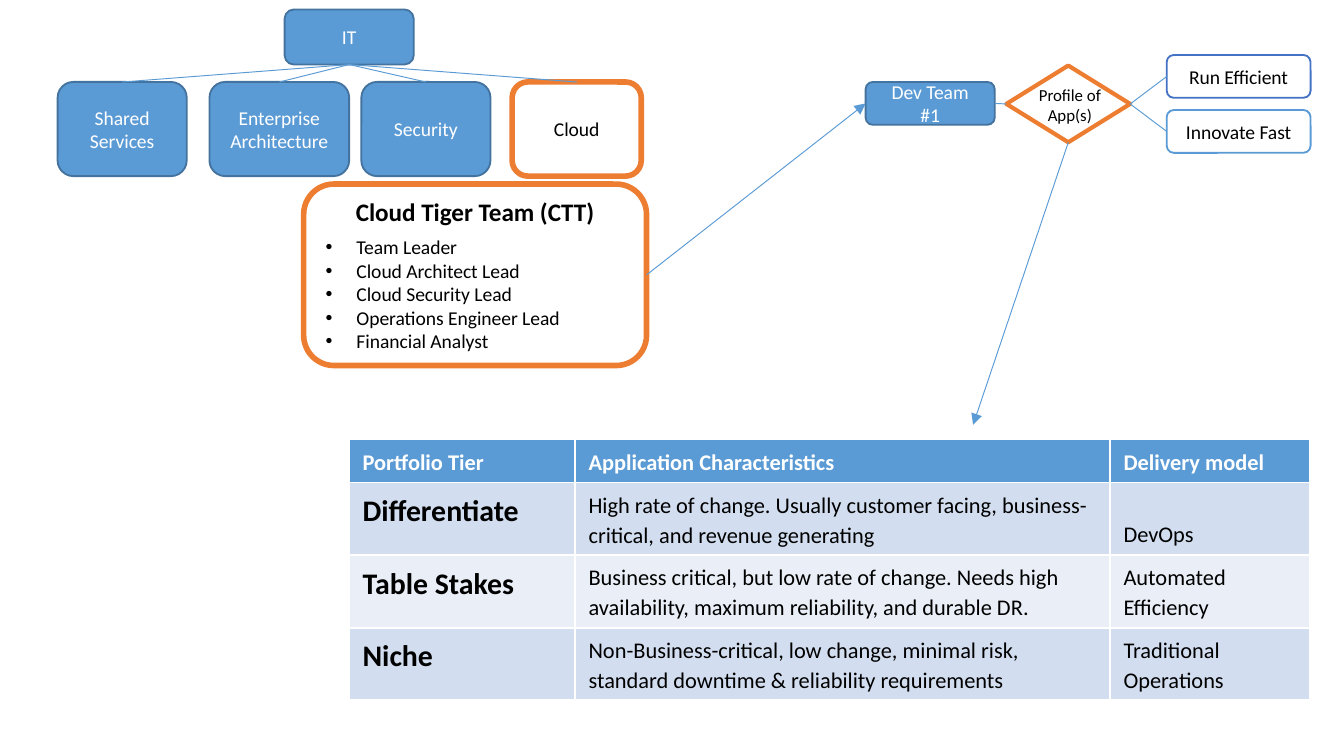
from lxml import etree
from pptx import Presentation
from pptx.dml.color import RGBColor
from pptx.enum.shapes import MSO_CONNECTOR, MSO_SHAPE
from pptx.enum.text import MSO_ANCHOR, PP_ALIGN
from pptx.oxml.ns import qn
from pptx.util import Cm, Pt

ROUND = MSO_SHAPE.ROUNDED_RECTANGLE
CHOICE = MSO_SHAPE.FLOWCHART_DECISION
LINE = MSO_CONNECTOR.STRAIGHT
CENTER, LEFT = PP_ALIGN.CENTER, PP_ALIGN.LEFT
TOP, MIDDLE, BOTTOM = MSO_ANCHOR.TOP, MSO_ANCHOR.MIDDLE, MSO_ANCHOR.BOTTOM

WHITE = RGBColor(0xFF, 0xFF, 0xFF)
BLACK = RGBColor(0, 0, 0)
BLUE = RGBColor(0x5B, 0x9B, 0xD5)
NAVY = RGBColor(0x43, 0x73, 0x9E)
ROYAL = RGBColor(0x44, 0x72, 0xC4)
ORANGE = RGBColor(0xED, 0x7D, 0x31)
BAND = RGBColor(0xD2, 0xDE, 0xEF)
PALE = RGBColor(0xEA, 0xEF, 0xF7)

# Connection sites, counted from the top against the clock
UP, WEST, DOWN, EAST = range(4)


class Board:
    font = "Calibri"
    size = 10.5

    def __init__(self, slide):
        self.slide = slide
        self.shapes = slide.shapes

    def words(self, para, text, color, size=None, bold=False, **form):
        run = para.add_run()
        run.text = text
        look = {"name": self.font, "size": Pt(size or self.size), "bold": bold}
        for key, value in look.items():
            setattr(run.font, key, value)
        run.font.color.rgb = color
        for key, value in form.items():
            setattr(para, key, value)

    def box(self, text, place, fill=BLUE, edge=NAVY, width=1, ink=WHITE, kind=ROUND):
        shape = self.shapes.add_shape(kind, *map(Cm, place))
        shape.shadow.inherit = False
        shape.fill.solid()
        shape.fill.fore_color.rgb = fill
        shape.line.color.rgb = edge
        shape.line.width = Pt(width)
        frame = shape.text_frame
        frame.word_wrap = True
        frame.vertical_anchor = MIDDLE
        if text:
            self.words(frame.paragraphs[0], text, ink, alignment=CENTER)
        return shape

    def label(self, text, place, size):
        frame = self.shapes.add_textbox(*map(Cm, place)).text_frame
        frame.word_wrap = True
        self.words(frame.paragraphs[0], text, BLACK, size, alignment=CENTER)

    def link(self, start, site, end, goal=None, arrow=False):
        """Join a shape's site to another shape's site, or to a free point."""
        point = (0, 0) if goal is not None else end
        line = self.shapes.add_connector(LINE, 0, 0, *map(Cm, point))
        line.begin_connect(start, site)
        if goal is not None:
            line.end_connect(end, goal)
        line.line.color.rgb = BLUE
        line.line.width = Pt(0.5)
        props = line._element.spPr
        if arrow:
            etree.SubElement(props.find(qn("a:ln")), qn("a:tailEnd"), type="triangle")
        etree.SubElement(props, qn("a:effectLst"))

    def team(self, title, roles, place):
        shape = self.box("", place, WHITE, ORANGE, 3)
        frame = shape.text_frame
        self.words(frame.paragraphs[0], title, BLACK, 13.5, True,
                   alignment=CENTER, space_after=Pt(4.6))
        for role in roles:
            para = frame.add_paragraph()
            self.words(para, role, BLACK, alignment=LEFT)
            props = para._p.get_or_add_pPr()
            props.set("marL", str(Cm(0.58)))
            props.set("indent", str(-Cm(0.58)))
            etree.SubElement(props, qn("a:buFont"), typeface="Arial")
            etree.SubElement(props, qn("a:buChar"), char="•")
        return shape

    def table(self, rows, place, cols, highs):
        size = (sum(cols), sum(highs))
        grid = self.shapes.add_table(len(rows), len(cols), *map(Cm, place + size)).table
        for col, wide in zip(grid.columns, cols):
            col.width = Cm(wide)
        for r, (row, high) in enumerate(zip(rows, highs)):
            grid.rows[r].height = Cm(high)
            for c, text in enumerate(row):
                head, tier = r == 0, r > 0 and c == 0
                cell = grid.cell(r, c)
                cell.fill.solid()
                cell.fill.fore_color.rgb = BLUE if head else (PALE, BAND)[r % 2]
                cell.vertical_anchor = TOP if tier else BOTTOM
                self.words(cell.text_frame.paragraphs[0], text,
                           WHITE if head else BLACK, 16 if tier else 12,
                           head or tier, line_spacing=1.1)


def main():
    deck = Presentation()
    deck.slide_width, deck.slide_height = Cm(25.4), Cm(14.29)
    board = Board(deck.slides.add_slide(deck.slide_layouts[6]))

    # Organisation tree
    root = board.box("IT", (5.38, 0.18, 2.44, 1.04))
    units = [
        board.box("Shared Services", (1.09, 1.55, 2.44, 1.78)),
        board.box("Enterprise Architecture", (3.96, 1.55, 2.64, 1.78)),
        board.box("Security", (6.83, 1.55, 2.44, 1.78)),
        board.box("Cloud", (9.68, 1.55, 2.44, 1.78), WHITE, ORANGE, 3, BLACK),
    ]
    for unit in units:
        board.link(root, DOWN, unit, UP)

    # Cloud team
    roles = ["Team Leader", "Cloud Architect Lead", "Cloud Security Lead",
             "Operations Engineer Lead", "Financial Analyst"]
    team = board.team("Cloud Tiger Team (CTT)", roles, (5.74, 3.48, 6.48, 3.43))

    # Decision flow
    dev = board.box("Dev Team #1", (16.36, 1.55, 2.44, 0.81))
    choice = board.box("", (19.02, 1.24, 2.34, 1.45), WHITE, ORANGE, 2.25, kind=CHOICE)
    board.label("Profile of App(s)", (19.18, 1.47, 2.08, 1.02), 9)
    board.link(team, EAST, dev, WEST, arrow=True)
    board.link(dev, EAST, choice, WEST)
    goals = [("Run Efficient", 1.04, ROYAL), ("Innovate Fast", 2.08, BLUE)]
    for text, top, edge in goals:
        goal = board.box(text, (22.05, top, 2.72, 0.81), WHITE, edge, ink=BLACK)
        board.link(choice, EAST, goal, WEST)
    board.link(choice, DOWN, (18.39, 8.03), arrow=True)

    # Portfolio table
    rows = [
        ("Portfolio Tier", "Application Characteristics", "Delivery model"),
        ("Differentiate", "High rate of change. Usually customer facing, "
         "business-critical, and revenue generating", "DevOps"),
        ("Table Stakes", "Business critical, but low rate of change. Needs high "
         "availability, maximum reliability, and durable DR.", "Automated Efficiency"),
        ("Niche", "Non-Business-critical, low change, minimal risk, "
         "standard downtime & reliability requirements", "Traditional Operations"),
    ]
    board.table(rows, (6.6, 8.31), (4.27, 10.11, 3.78), (0.79, 1.37, 1.37, 1.37))

    deck.save("out.pptx")


if __name__ == "__main__":
    main()
